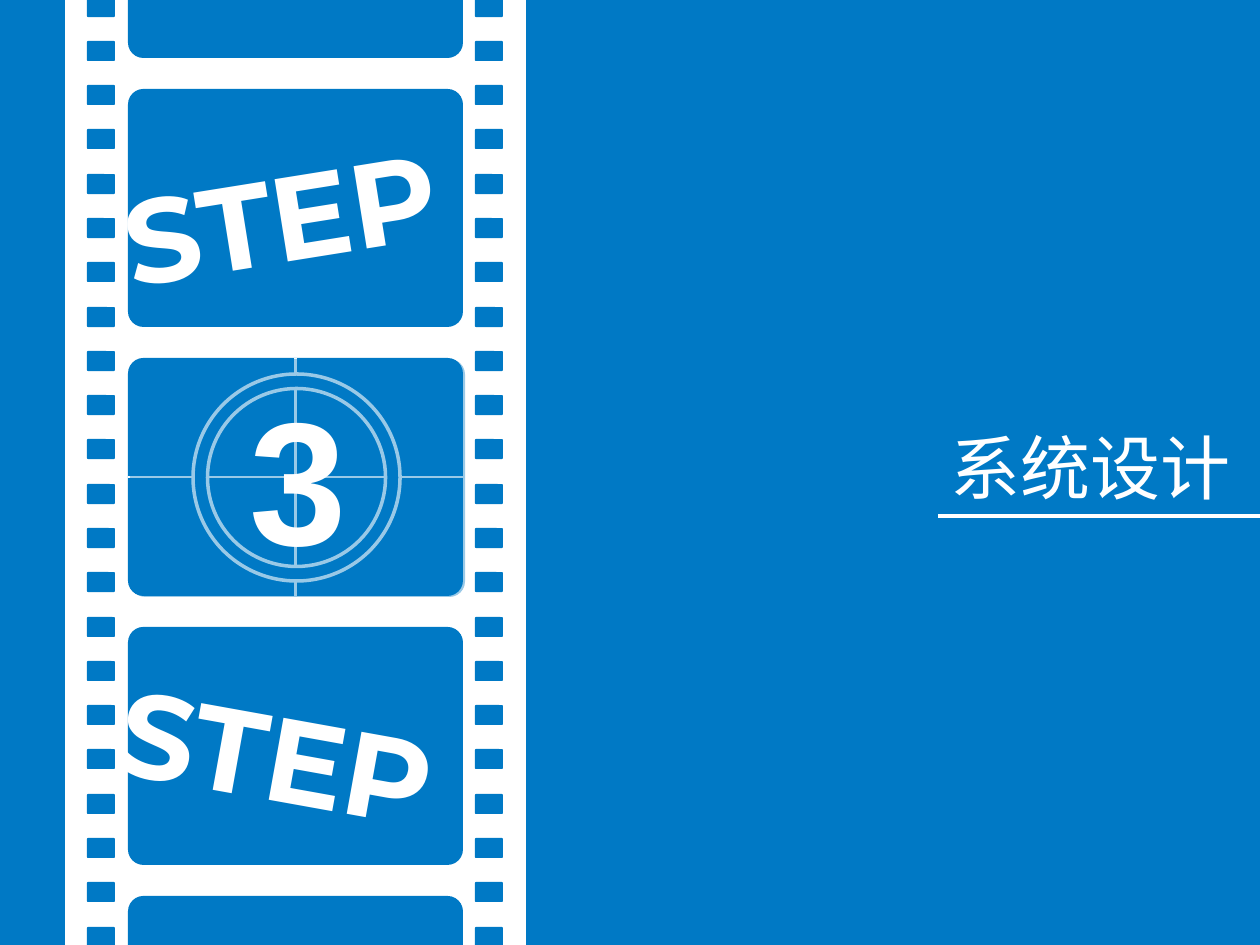
from lxml.etree import SubElement
from pptx import Presentation
from pptx.dml.color import RGBColor
from pptx.enum.shapes import MSO_CONNECTOR, MSO_SHAPE
from pptx.enum.text import MSO_ANCHOR, MSO_AUTO_SIZE, PP_ALIGN
from pptx.oxml.ns import qn
from pptx.util import Emu, Pt

PX = 914400 // 126
BLUE = RGBColor(0x00, 0x79, 0xC5)
WHITE = RGBColor(0xFF, 0xFF, 0xFF)
FRAME_LEFT, FRAME_WIDTH, FRAME_HEIGHT, FRAME_PITCH = 128, 335, 238, 269


def px(*lengths):
    """Turn pixel lengths into EMU."""
    return [Emu(length * PX) for length in lengths]


def add_block(shapes, kind, box, fill, line_width=0, adjustment=None):
    """Add a filled preset shape, outlined in white if a width is given."""
    block = shapes.add_shape(kind, *px(*box))
    block.shadow.inherit = False
    block.fill.solid()
    block.fill.fore_color.rgb = fill
    if adjustment is not None:
        block.adjustments[0] = adjustment
    if line_width:
        block.line.color.rgb = WHITE
        block.line.width = Pt(line_width)
    else:
        block.line.fill.background()
    return block


def add_frame(shapes, left, top):
    """Add one rounded film frame."""
    box = (left, top, FRAME_WIDTH, FRAME_HEIGHT)
    return add_block(shapes, MSO_SHAPE.ROUNDED_RECTANGLE, box, BLUE, adjustment=0.065)


def add_rule(shapes, start, end, width):
    """Add a straight white line."""
    rule = shapes.add_connector(MSO_CONNECTOR.STRAIGHT, *px(*start, *end))
    rule.line.color.rgb = WHITE
    rule.line.width = Pt(width)
    SubElement(rule._element.spPr, qn("a:effectLst"))
    return rule


def write(holder, text, font_name, size, bold):
    """Write one white, left-aligned paragraph into a text holder."""
    frame = holder.text_frame
    frame.text = text
    frame.word_wrap = True
    frame.auto_size = MSO_AUTO_SIZE.SHAPE_TO_FIT_TEXT
    frame.vertical_anchor = MSO_ANCHOR.TOP
    paragraph = frame.paragraphs[0]
    paragraph.alignment = PP_ALIGN.LEFT
    font = paragraph.font
    font.size = Pt(size)
    font.bold = bold
    font.color.rgb = WHITE
    font.name = font_name
    defaults = paragraph._p.find(qn("a:pPr")).find(qn("a:defRPr"))
    SubElement(defaults, qn("a:ea")).set("typeface", font_name)


def add_label(shapes, text, box, font_name, size, rotation=0):
    """Add a bold text box, turned if asked."""
    label = shapes.add_textbox(*px(*box))
    write(label, text, font_name, size, True)
    label.rotation = rotation


def add_film_strip(shapes):
    """Add the strip with its holes and frames, and return the frames."""
    strip = shapes.add_group_shape().shapes
    add_block(strip, MSO_SHAPE.RECTANGLE, (69, -19, 453, 984), WHITE, 4.5)
    for left in (87, 475):
        for row in range(22):
            hole = (left, -3 + row * 930 // 21, 28, 20)
            add_block(strip, MSO_SHAPE.ROUNDED_RECTANGLE, hole, BLUE, adjustment=0.057)
    return [add_frame(strip, FRAME_LEFT, row * FRAME_PITCH - 180) for row in range(5)]


def add_countdown(shapes, frame):
    """Add the cross hairs, ring, veil and number over the middle frame."""
    across = add_rule(shapes, (128, 477), (475, 477), 1.5)
    across.begin_connect(frame, 1)
    down = add_rule(shapes, (295, 358), (295, 596), 1.5)
    down.begin_connect(frame, 0)
    down.end_connect(frame, 2)
    add_block(shapes, MSO_SHAPE.DONUT, (193, 374, 207, 207), BLUE, 2, 0.07)
    veil = add_frame(shapes, 130, 359)
    color = veil.fill._xPr.find(qn("a:solidFill"))[0]
    SubElement(color, qn("a:alpha")).set("val", "40000")
    add_label(shapes, "3", (237, 364, 246, 224), "Arial", 100)


def add_title(slide):
    """Place the section title above its underline."""
    title = slide.shapes.title
    title.left, title.top, title.width, title.height = px(938, 418, 452, 97)
    write(title, "系统设计", "Noto Sans CJK SC", 40, False)
    add_rule(slide.shapes, (938, 516), (1260, 516), 2.25)


def main():
    """Build the section slide."""
    deck = Presentation()
    deck.slide_width, deck.slide_height = px(1260, 945)
    slide = deck.slides.add_slide(deck.slide_layouts[5])
    slide.background.fill.solid()
    slide.background.fill.fore_color.rgb = BLUE
    frames = add_film_strip(slide.shapes)
    add_label(slide.shapes, "STEP", (110, 130, 435, 157), "Montserrat", 68, 350.9)
    add_label(slide.shapes, "STEP", (106, 684, 435, 157), "Montserrat", 68, 10.2)
    add_countdown(slide.shapes, frames[2])
    add_title(slide)
    deck.save("out.pptx")


if __name__ == "__main__":
    main()
